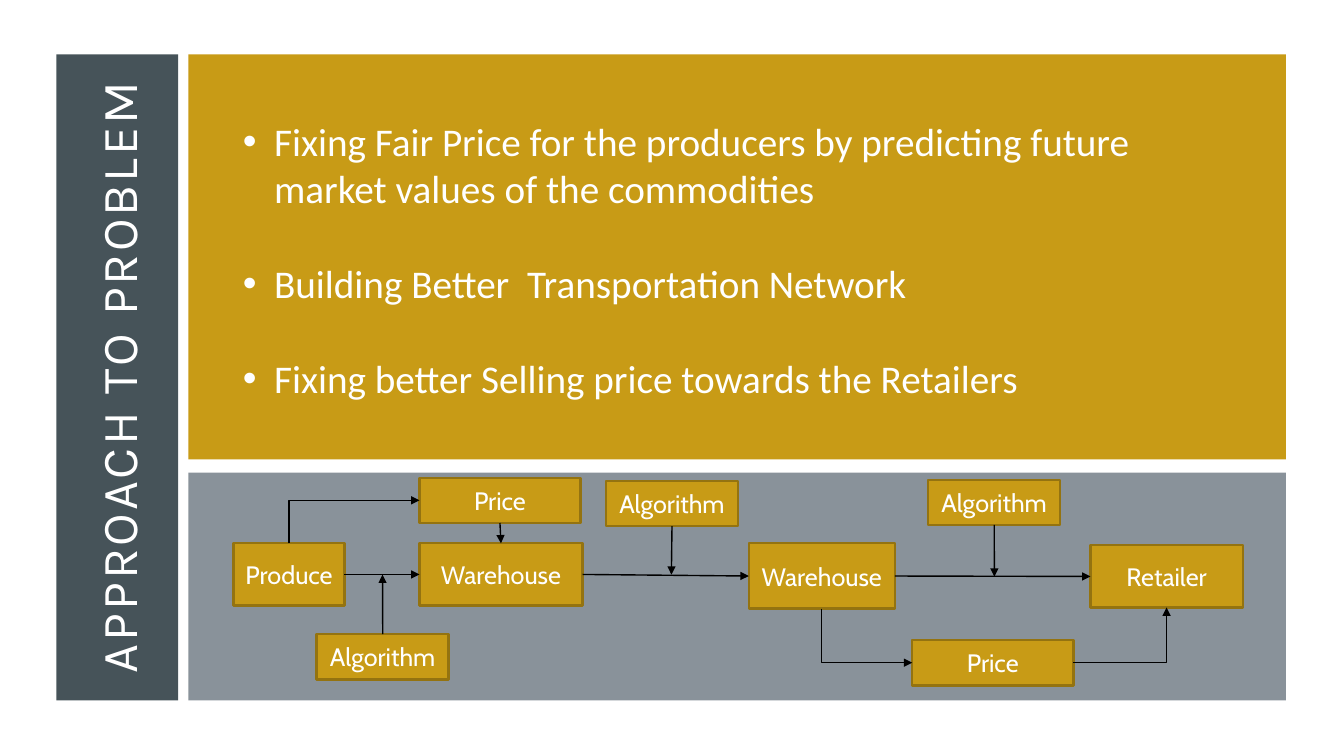
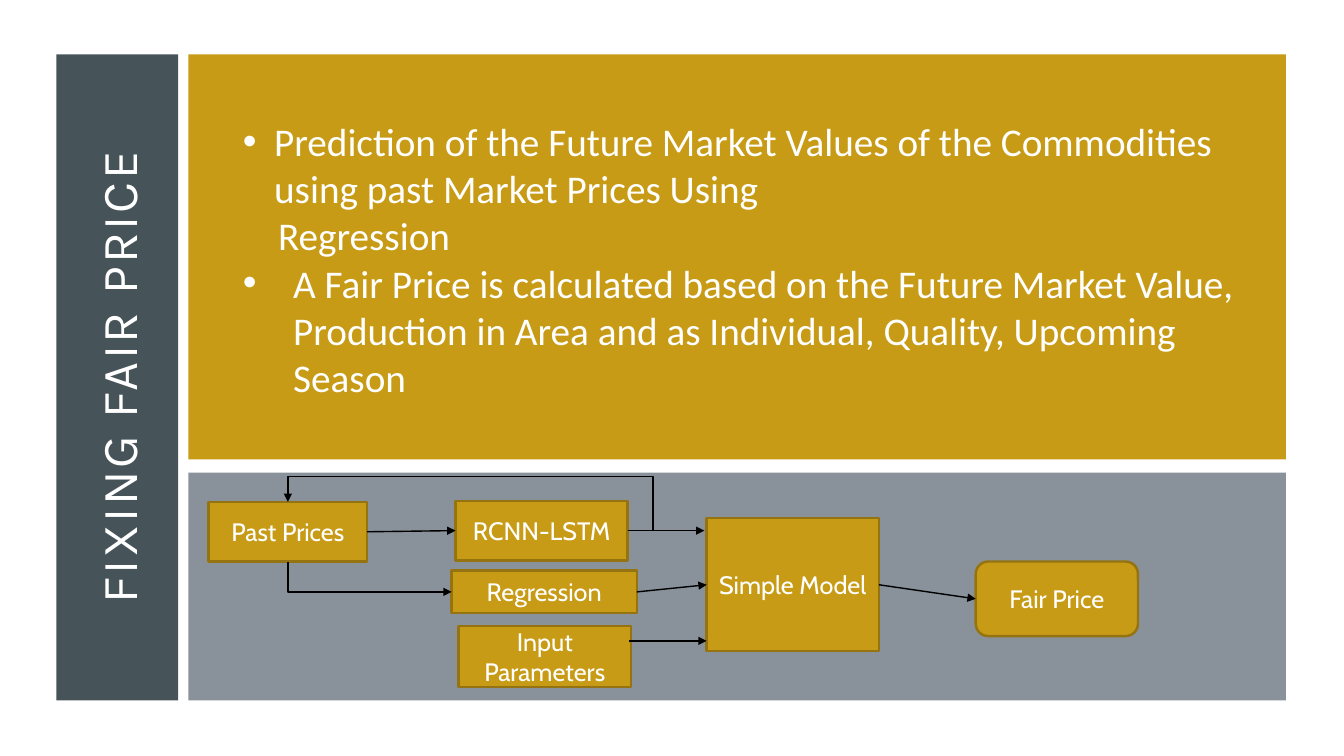
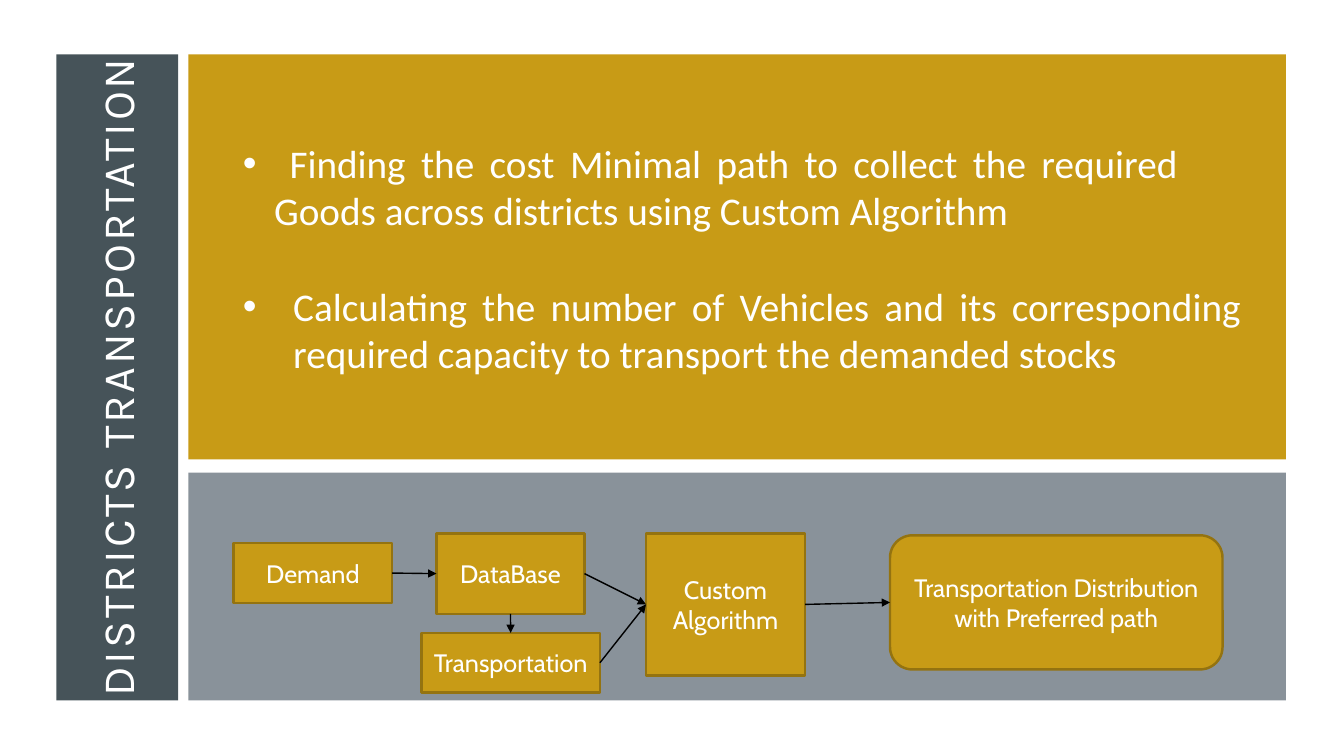
from lxml.etree import SubElement
from pptx import Presentation
from pptx.dml.color import RGBColor
from pptx.enum.shapes import MSO_CONNECTOR, MSO_SHAPE
from pptx.enum.text import MSO_ANCHOR, PP_ALIGN
from pptx.oxml.ns import qn
from pptx.util import Cm, Pt

WHITE = "FFFFFF"
BLACK = "000000"
SLATE = "465359"
GOLD = "C89B16"
DARK_GOLD = "947310"
GREY = "6C7781"

TITLE_FONT = "Karla"
BODY_FONT = "Calibri"
BOX_FONT = "Cabin"

TOP, BOTTOM, LEFT, RIGHT = 0, 2, 1, 3

BODY_LEFT = 5.87
BODY_WIDTH = 25.65
BLANK_LINE = 34.2
NARROW_INDENT = 0.79
WIDE_INDENT = 1.27


def rgb(color):
    return RGBColor.from_string(color)


def format_runs(paragraph, font_name, size):
    for run in paragraph.runs:
        run.font.name = font_name
        run.font.size = Pt(size)
        run.font.color.rgb = rgb(WHITE)


def add_panel(slide, left, top, width, height, color, opacity=100):
    panel = slide.shapes.add_shape(
        MSO_SHAPE.RECTANGLE, Cm(left), Cm(top), Cm(width), Cm(height))
    panel.shadow.inherit = False
    panel.fill.solid()
    panel.fill.fore_color.rgb = rgb(color)
    panel.line.fill.background()
    if opacity < 100:
        solid_color = panel._element.spPr.find(qn("a:solidFill"))[0]
        SubElement(solid_color, qn("a:alpha"), val=str(opacity * 1000))


def add_title(slide, text, size):
    title = slide.shapes.add_textbox(Cm(-5.61), Cm(6.93), Cm(17.12), Cm(5.16))
    title.rotation = 270
    text_frame = title.text_frame
    text_frame.word_wrap = True
    text_frame.vertical_anchor = MSO_ANCHOR.MIDDLE
    text_frame.text = text
    paragraph = text_frame.paragraphs[0]
    paragraph.alignment = PP_ALIGN.CENTER
    format_runs(paragraph, TITLE_FONT, size)
    paragraph.runs[0].font._element.set("spc", "200")


def add_framed_slide(presentation, title, title_size=36):
    slide = presentation.slides.add_slide(presentation.slide_layouts[6])
    add_panel(slide, 1.42, 1.37, 3.07, 16.28, SLATE)
    add_panel(slide, 4.75, 1.37, 27.66, 10.21, GOLD)
    add_title(slide, title, title_size)
    add_panel(slide, 4.75, 11.91, 27.66, 5.74, GREY, opacity=80)
    return slide


def set_indent(paragraph, indent, bullet):
    properties = paragraph._p.get_or_add_pPr()
    properties.set("marL", str(Cm(indent)))
    properties.set("indent", str(-Cm(indent) if bullet else 0))
    if bullet:
        SubElement(properties, qn("a:buFont"), typeface="Arial")
        SubElement(properties, qn("a:buChar"), char="•")


def add_body(slide, top, height, items, gap=0, width=BODY_WIDTH,
             alignment=PP_ALIGN.LEFT):
    body = slide.shapes.add_textbox(
        Cm(BODY_LEFT), Cm(top), Cm(width), Cm(height))
    text_frame = body.text_frame
    text_frame.word_wrap = True
    text_frame.text = "\n".join(text for text, indent, bullet in items)
    for number, paragraph in enumerate(text_frame.paragraphs):
        text, indent, bullet = items[number]
        paragraph.alignment = alignment
        paragraph.space_before = Pt(gap if number else 0)
        set_indent(paragraph, indent, bullet)
        format_runs(paragraph, BODY_FONT, 28)


def add_box(slide, text, left, top, width, height, kind=MSO_SHAPE.RECTANGLE):
    box = slide.shapes.add_shape(
        kind, Cm(left), Cm(top), Cm(width), Cm(height))
    box.shadow.inherit = False
    box.fill.solid()
    box.fill.fore_color.rgb = rgb(GOLD)
    box.line.color.rgb = rgb(DARK_GOLD)
    box.line.width = Pt(1.75)
    text_frame = box.text_frame
    text_frame.word_wrap = True
    text_frame.vertical_anchor = MSO_ANCHOR.MIDDLE
    text_frame.text = text
    paragraph = text_frame.paragraphs[0]
    paragraph.alignment = PP_ALIGN.CENTER
    format_runs(paragraph, BOX_FONT, 18)
    return box


def add_arrow(slide, begin=None, end=None, begin_point=(0, 0),
              end_point=(0, 0), kind=MSO_CONNECTOR.STRAIGHT):
    corners = [Cm(value) for value in (*begin_point, *end_point)]
    arrow = slide.shapes.add_connector(kind, *corners)
    if begin:
        arrow.begin_connect(*begin)
    if end:
        arrow.end_connect(*end)
    arrow.line.color.rgb = rgb(BLACK)
    arrow.line.width = Pt(1)
    SubElement(arrow.line._get_or_add_ln(), qn("a:tailEnd"), type="triangle")
    SubElement(arrow._element.spPr, qn("a:effectLst"))
    return arrow


def add_elbow(slide, begin, end, preset="bentConnector2", adjustments=()):
    elbow = add_arrow(slide, begin, end, kind=MSO_CONNECTOR.ELBOW)
    properties = elbow._element.spPr
    geometry = properties.find(qn("a:prstGeom"))
    geometry.set("prst", preset)
    guides = geometry.find(qn("a:avLst"))
    if guides is None:
        guides = SubElement(geometry, qn("a:avLst"))
    for number, value in enumerate(adjustments, 1):
        SubElement(guides, qn("a:gd"), name=f"adj{number}", fmla=f"val {value}")
    if begin[1] in (TOP, BOTTOM):
        turn = 90 if elbow.begin_y > elbow.end_y else 270
        width, height = elbow.width, elbow.height
        elbow.left += (width - height) // 2
        elbow.top += (height - width) // 2
        elbow.width, elbow.height = height, width
        frame = properties.find(qn("a:xfrm"))
        frame.set("rot", str(turn * 60000))
        frame.set("flipH", "1")


def add_approach_slide(presentation):
    slide = add_framed_slide(presentation, "APPROACH TO PROBLEM")
    add_body(slide, 2.84, 7.44, [
        ("Fixing Fair Price for the producers by predicting future market "
         "values of the commodities", NARROW_INDENT, True),
        ("Building Better  Transportation Network", NARROW_INDENT, True),
        ("Fixing better Selling price towards the Retailers",
         NARROW_INDENT, True),
    ], gap=BLANK_LINE)

    produce = add_box(slide, "Produce", 5.89, 13.69, 2.79, 1.57)
    first_warehouse = add_box(slide, "Warehouse", 10.57, 13.69, 4.11, 1.57)
    second_warehouse = add_box(slide, "Warehouse", 18.87, 13.69, 3.68, 1.65)
    retailer = add_box(slide, "Retailer", 27.48, 13.74, 3.84, 1.57)
    buying_price, selling_price = [
        add_box(slide, "Price", left, top, 4.06, 1.14)
        for left, top in ((10.57, 12.04), (22.99, 16.13))]

    chain = [produce, first_warehouse, second_warehouse, retailer]
    for source, target in zip(chain, chain[1:]):
        add_arrow(slide, (source, RIGHT), (target, LEFT))
    add_arrow(slide, (buying_price, BOTTOM), (first_warehouse, TOP))
    add_elbow(slide, (produce, TOP), (buying_price, LEFT))
    add_elbow(slide, (second_warehouse, BOTTOM), (selling_price, LEFT))
    add_elbow(slide, (selling_price, RIGHT), (retailer, BOTTOM))

    for left, top, side, end_point in (
            (7.98, 15.98, TOP, (9.64, 14.48)),
            (15.27, 12.12, BOTTOM, (16.92, 14.48)),
            (23.39, 12.09, BOTTOM, (25.06, 14.53))):
        algorithm = add_box(slide, "Algorithm", left, top, 3.33, 1.14)
        add_arrow(slide, (algorithm, side), end_point=end_point)


def add_fair_price_slide(presentation):
    slide = add_framed_slide(presentation, "FIXING FAIR PRICE")
    add_body(slide, 2.84, 8.64, [
        ("Prediction of the Future Market Values of the Commodities using "
         "past Market Prices Using", NARROW_INDENT, True),
        ("Regression", 0.89, False),
        ("A Fair Price is calculated based on the Future Market Value, "
         "Production in Area and as Individual, Quality, Upcoming Season",
         WIDE_INDENT, True),
    ])

    past_prices = add_box(slide, "Past Prices", 5.26, 12.65, 3.99, 1.5)
    network = add_box(slide, "RCNN-LSTM", 11.48, 12.62, 4.34, 1.5)
    regression = add_box(slide, "Regression", 11.38, 14.38, 4.67, 1.07)
    add_box(slide, "Input Parameters", 11.56, 15.77, 4.34, 1.55)
    model = add_box(slide, "Simple Model", 17.81, 13.06, 4.34, 3.35)
    fair_price = add_box(slide, "Fair Price", 24.59, 14.15, 4.09, 1.88,
                         MSO_SHAPE.ROUNDED_RECTANGLE)

    add_arrow(slide, (past_prices, RIGHT), (network, LEFT))
    add_arrow(slide, (network, RIGHT), end_point=(17.75, 13.37))
    add_arrow(slide, (regression, RIGHT), (model, LEFT))
    add_arrow(slide, begin_point=(15.85, 16.15), end_point=(17.81, 16.15))
    add_arrow(slide, (model, RIGHT), (fair_price, LEFT))
    add_elbow(slide, (past_prices, BOTTOM), (regression, LEFT))
    add_elbow(slide, (network, RIGHT), (past_prices, TOP),
              "bentConnector4", (-7400, 189400))


def add_transportation_slide(presentation):
    slide = add_framed_slide(presentation, "DISTRICTS TRANSPORTATION", 32)
    add_body(slide, 3.38, 2.66, [
        (" Finding the cost Minimal path to collect the required Goods "
         "across districts using Custom Algorithm", NARROW_INDENT, True),
    ], width=24.06, alignment=PP_ALIGN.JUSTIFY)
    add_body(slide, 7, 2.66, [
        ("Calculating the number of Vehicles and its corresponding required "
         "capacity to transport the demanded stocks", WIDE_INDENT, True),
    ], alignment=PP_ALIGN.JUSTIFY)

    demand = add_box(slide, "Demand", 5.89, 13.69, 3.99, 1.5)
    database = add_box(slide, "DataBase", 11, 13.44, 3.73, 2.03)
    transportation = add_box(slide, "Transportation", 10.62, 15.95, 4.5, 1.5)
    algorithm = add_box(slide, "Custom Algorithm", 16.28, 13.44, 4.01, 3.58)
    distribution = add_box(
        slide, "Transportation Distribution with Preferred path",
        22.43, 13.49, 8.38, 3.38, MSO_SHAPE.ROUNDED_RECTANGLE)

    add_arrow(slide, (database, BOTTOM), (transportation, TOP))
    for source, target in (
            (demand, database), (database, algorithm),
            (transportation, algorithm), (algorithm, distribution)):
        add_arrow(slide, (source, RIGHT), (target, LEFT))


def main():
    presentation = Presentation()
    presentation.slide_width = Cm(33.87)
    presentation.slide_height = Cm(19.05)
    add_approach_slide(presentation)
    add_fair_price_slide(presentation)
    add_transportation_slide(presentation)
    presentation.save("out.pptx")


if __name__ == "__main__":
    main()
